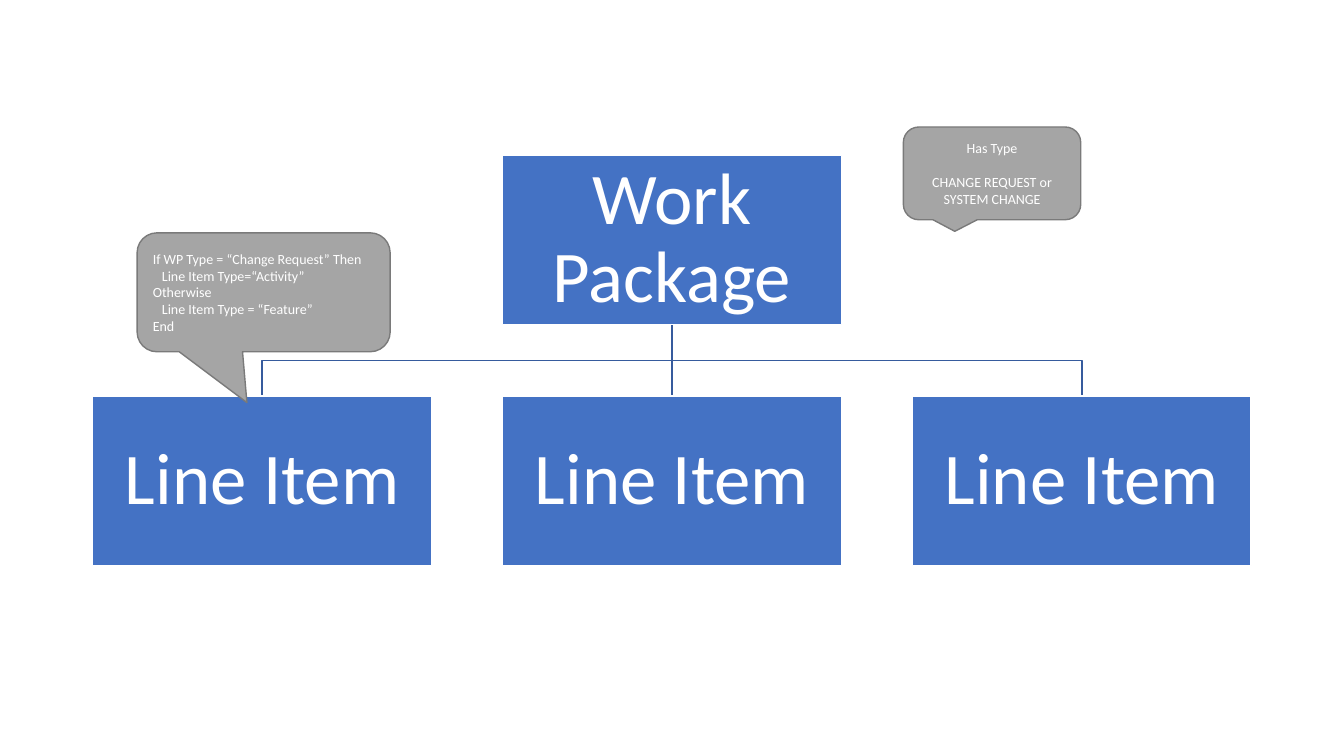
from pptx import Presentation, util as u
from pptx.dml.color import RGBColor
from pptx.enum import shapes, text
from pptx.oxml import parse_xml
from pptx.oxml.ns import nsdecls

WIDE, HIGH = 13.33, 7.5
BOX_W, BOX_H = 3.36, 1.68
STEP, LEFT = 4.065, 0.92
ROOT_Y, ITEM_Y = 1.54, 3.93
BLUE, LINE, GREY, EDGE, WHITE = "4472C4", "365B9D", "A5A5A5", "7A7A7A", "FFFFFF"

ROOT = "Work Package"
ITEMS = ["Line Item", "Line Item", "Line Item"]
MID = text.PP_ALIGN.CENTER
START = text.PP_ALIGN.LEFT
NOTES = [
    ((8.96, 1.26, 1.76, 0.92), (-0.21, 0.625, 0.167), MID,
     [("Has Type", 0, 0), ("CHANGE REQUEST or", 0, 12.2), ("SYSTEM CHANGE", 0, 0)]),
    ((1.36, 2.31, 2.51, 1.18), (-0.066, 0.927, 0.167), START,
     [("If WP Type = “Change Request” Then", 0, 0),
      ("Line Item Type=“Activity”", 0.09, 0),
      ("Otherwise", 0, 0),
      ("Line Item Type = “Feature”", 0.09, 0),
      ("End", 0, 0)]),
]


def rgb(code):
    return RGBColor.from_string(code)


def stroke(shape, code):
    shape.line.color.rgb = rgb(code)
    shape.line.width = u.Pt(1)


def add(kind, place, fill, edge):
    shape = slide.shapes.add_shape(kind, *map(u.Inches, place))
    shape.shadow.inherit = False
    shape.fill.solid()
    shape.fill.fore_color.rgb = rgb(fill)
    stroke(shape, edge)
    shape.text_frame.word_wrap = True
    shape.text_frame.vertical_anchor = text.MSO_ANCHOR.MIDDLE
    return shape


def style(para, words, size, align):
    para.text = words
    para.alignment = align
    para.font.size = u.Pt(size)
    para.font.name = "Calibri"
    para.font.color.rgb = rgb(WHITE)


def box(words, x, y):
    shape = add(shapes.MSO_SHAPE.RECTANGLE, (x, y, BOX_W, BOX_H), BLUE, WHITE)
    frame = shape.text_frame
    frame.margin_left = frame.margin_right = u.Inches(0.04)
    frame.margin_top = frame.margin_bottom = u.Inches(0.04)
    style(frame.paragraphs[0], words, 52, MID)
    frame.paragraphs[0].line_spacing = 0.9
    return shape


def branch(x):
    bend = (ROOT_Y + BOX_H + ITEM_Y) / 2
    pen = slide.shapes.build_freeform(u.Inches(mid), u.Inches(ROOT_Y + BOX_H))
    points = [(mid, bend), (x, bend), (x, ITEM_Y)]
    pen.add_line_segments([tuple(map(u.Inches, p)) for p in points], close=False)
    shape = pen.convert_to_shape()
    shape.shadow.inherit = False
    shape.fill.background()
    stroke(shape, LINE)


def note(place, tail, align, lines):
    shape = add(shapes.MSO_SHAPE.ROUNDED_RECTANGULAR_CALLOUT, place, GREY, EDGE)
    for i, value in enumerate(tail):
        shape.adjustments[i] = value
    frame = shape.text_frame
    for i, (words, indent, gap) in enumerate(lines):
        para = frame.add_paragraph() if i else frame.paragraphs[0]
        style(para, words, 10, align)
        para.space_before = u.Pt(gap)
        if indent:
            para._p.get_or_add_pPr().set("marL", str(u.Inches(indent)))


deck = Presentation()
deck.slide_width, deck.slide_height = u.Inches(WIDE), u.Inches(HIGH)
slide = deck.slides.add_slide(deck.slide_layouts[6])

lefts = [LEFT + i * STEP for i in range(len(ITEMS))]
mid = lefts[1] + BOX_W / 2
for x in (lefts[2], lefts[0]):
    branch(x + BOX_W / 2)
stem = slide.shapes.add_connector(
    shapes.MSO_CONNECTOR.STRAIGHT,
    *map(u.Inches, (mid, ROOT_Y + BOX_H, mid, ITEM_Y)))
stroke(stem, LINE)
stem._element.spPr.append(parse_xml(f"<a:effectLst {nsdecls('a')}/>"))

root = box(ROOT, lefts[1], ROOT_Y)
items = [box(words, x, ITEM_Y) for words, x in zip(ITEMS, lefts)]
stem.begin_connect(root, 2)
stem.end_connect(items[1], 0)

for entry in NOTES:
    note(*entry)

deck.save("out.pptx")
